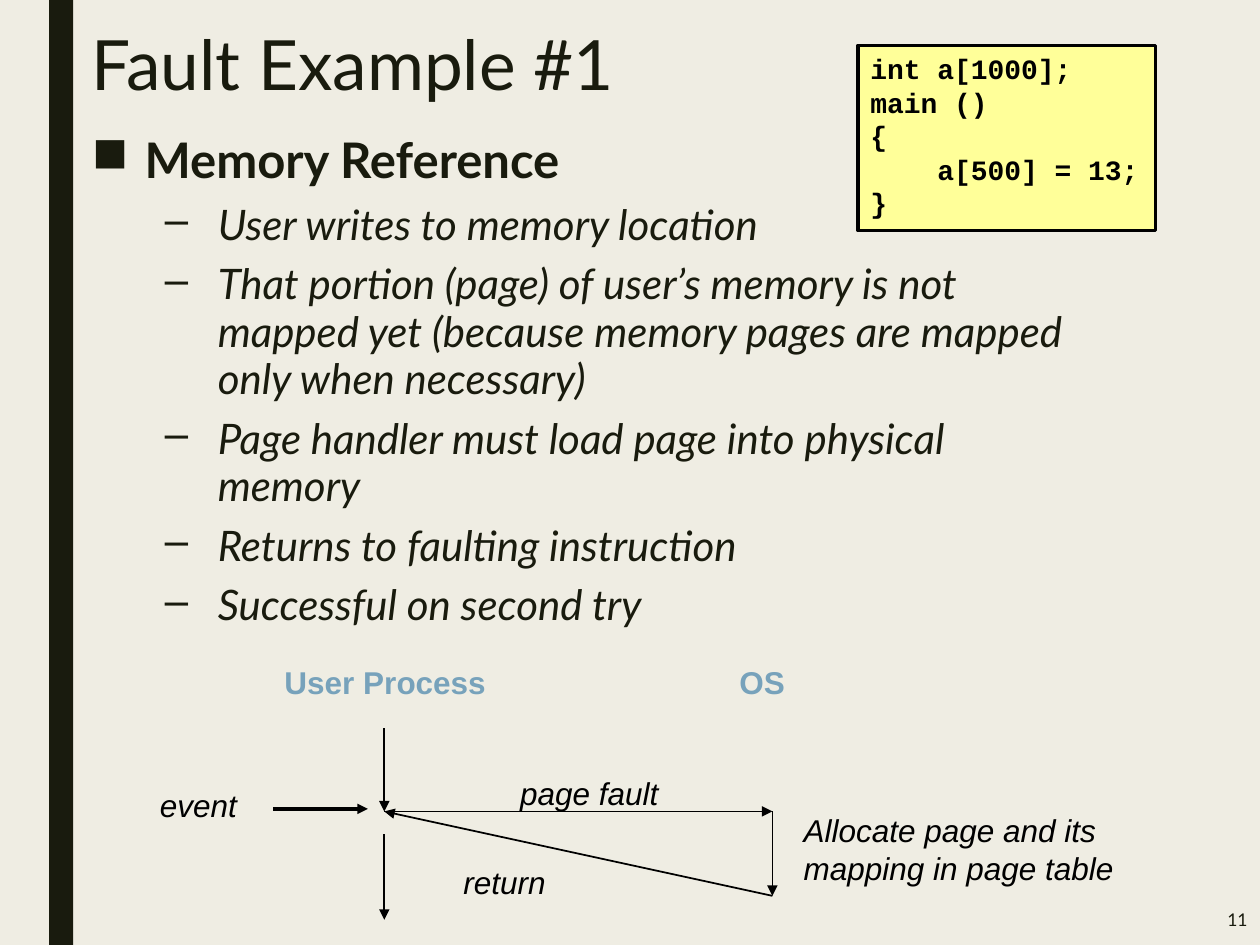
from pptx import Presentation
from pptx import util as u
from pptx.dml.color import RGBColor
from pptx.enum import shapes, text
from pptx.oxml.ns import qn
from lxml import etree

INK, BLACK, BLUE = "191B0E", "000000", "77A2BB"


def rgb(code):
    return RGBColor.from_string(code)


def place(shape, x, y, w, h):
    shape.left, shape.top, shape.width, shape.height = map(u.Inches, (x, y, w, h))


def style(par, face, size, color, bold=False, italic=False):
    font = par.font
    font.name, font.size = face, u.Pt(size)
    font.bold, font.italic = bold, italic
    font.color.rgb = rgb(color)


def label(slide, words, x, y, w, h, color=BLACK, bold=False, wrap=False):
    box = slide.shapes.add_textbox(*map(u.Inches, (x, y, w, h)))
    box.text_frame.word_wrap = wrap
    par = box.text_frame.paragraphs[0]
    par.text = words
    style(par, "Arial", 18, color, bold, not bold)


def block(slide, x, y, w, h, fill):
    shape = slide.shapes.add_shape(
        shapes.MSO_SHAPE.RECTANGLE, *map(u.Inches, (x, y, w, h)))
    shape.shadow.inherit = False
    shape.fill.solid()
    shape.fill.fore_color.rgb = rgb(fill)
    shape.line.fill.background()
    return shape


def arrow(slide, x1, y1, x2, y2, width=1):
    line = slide.shapes.add_connector(
        shapes.MSO_CONNECTOR.STRAIGHT, *map(u.Inches, (x1, y1, x2, y2)))
    line.line.color.rgb = rgb(BLACK)
    line.line.width = u.Pt(width)
    etree.SubElement(line.line._get_or_add_ln(), qn("a:tailEnd"), type="triangle")
    etree.SubElement(line._element.spPr, qn("a:effectLst"))


def heading(slide, x, y, w, h):
    title = slide.shapes.title
    place(title, x, y, w, h)
    frame = title.text_frame
    frame.text = "Fault Example #1"
    frame.vertical_anchor = text.MSO_ANCHOR.MIDDLE
    frame.word_wrap = True
    par = frame.paragraphs[0]
    par.alignment = text.PP_ALIGN.LEFT
    par.line_spacing = 0.89
    style(par, "Lato", 39.6, INK)


def bullets(slide, x, y, w, h, items):
    frame = slide.shapes.add_textbox(*map(u.Inches, (x, y, w, h))).text_frame
    frame.word_wrap = True
    for i, (level, words) in enumerate(items):
        par = frame.paragraphs[0] if i == 0 else frame.add_paragraph()
        par.text, par.level = words, level
        par.line_spacing = 0.94
        par.space_before, par.space_after = u.Pt((10, 5)[level]), u.Pt(2)
        style(par, "Lato", (28, 24)[level], INK, level == 0, level == 1)
        # Hanging indent and bullet sign
        props = par._p.get_or_add_pPr()
        props.set("marL", str(u.Inches((0.42, 1)[level])))
        props.set("indent", str(u.Inches(-0.42)))
        sign = etree.Element(qn("a:buChar"), char="■–"[level])
        props.find(qn("a:spcAft")).addnext(sign)


def code(slide, x, y, w, h, lines):
    shape = block(slide, x, y, w, h, "FFFF99")
    shape.line.color.rgb = rgb(BLACK)
    shape.line.width = u.Pt(2)
    frame = shape.text_frame
    frame.word_wrap = False
    frame.vertical_anchor = text.MSO_ANCHOR.TOP
    for i, words in enumerate(lines):
        par = frame.paragraphs[0] if i == 0 else frame.add_paragraph()
        par.text = words
        par.alignment = text.PP_ALIGN.LEFT
        style(par, "Courier New", 16, BLACK, bold=True)


def flow(slide, x, y):
    user, os_x, fault, back = x + 1.88, x + 4.96, y + 1.23, y + 1.9
    # Column heads
    label(slide, "User Process", x + 0.99, y, 1.8, 0.4, BLUE, True)
    label(slide, "OS", x + 4.6, y, 0.56, 0.4, BLUE, True)
    # Control flow
    arrow(slide, user, y + 0.57, user, fault)
    arrow(slide, user, fault, os_x, fault)
    arrow(slide, os_x, fault, os_x, back)
    arrow(slide, os_x, back, user, fault)
    arrow(slide, user, y + 1.41, user, y + 2.09)
    # Event and step names
    arrow(slide, x + 1, y + 1.21, x + 1.75, y + 1.21, 2)
    label(slide, "event", x, y + 0.98, 0.88, 0.4, wrap=True)
    label(slide, "page fault", x + 2.86, y + 0.88, 1.3, 0.4)
    label(slide, "return", x + 2.41, y + 1.59, 0.85, 0.4)
    label(slide, "Allocate page and its mapping in page table",
          x + 5.11, y + 1.18, 2.76, 0.7, wrap=True)


def number(slide, x, y, w, h, words):
    frame = slide.shapes.add_textbox(*map(u.Inches, (x, y, w, h))).text_frame
    frame.word_wrap = True
    frame.vertical_anchor = text.MSO_ANCHOR.MIDDLE
    par = frame.paragraphs[0]
    par.text = words
    par.alignment = text.PP_ALIGN.RIGHT
    style(par, "Lato", 10, INK)


deck = Presentation()
deck.slide_width, deck.slide_height = u.Inches(10), u.Inches(7.5)
slide = deck.slides.add_slide(deck.slide_layouts[5])
slide.background.fill.solid()
slide.background.fill.fore_color.rgb = rgb("EFEDE3")

block(slide, 0.39, 0, 0.19, 7.5, INK)
heading(slide, 0.63, 0.22, 5.2, 0.64)
bullets(slide, 0.63, 1.02, 7.95, 3.42, [
    (0, "Memory Reference"),
    (1, "User writes to memory location"),
    (1, "That portion (page) of user’s memory is not mapped yet "
        "(because memory pages are mapped only when necessary)"),
    (1, "Page handler must load page into physical memory"),
    (1, "Returns to faulting instruction"),
    (1, "Successful on second try"),
])
number(slide, 8.92, 7.1, 1.08, 0.4, "11")
flow(slide, 1.17, 5.21)
code(slide, 6.81, 0.36, 2.36, 1.47,
     ["int a[1000];", "main ()", "{", "    a[500] = 13;", "}"])

deck.save("out.pptx")
